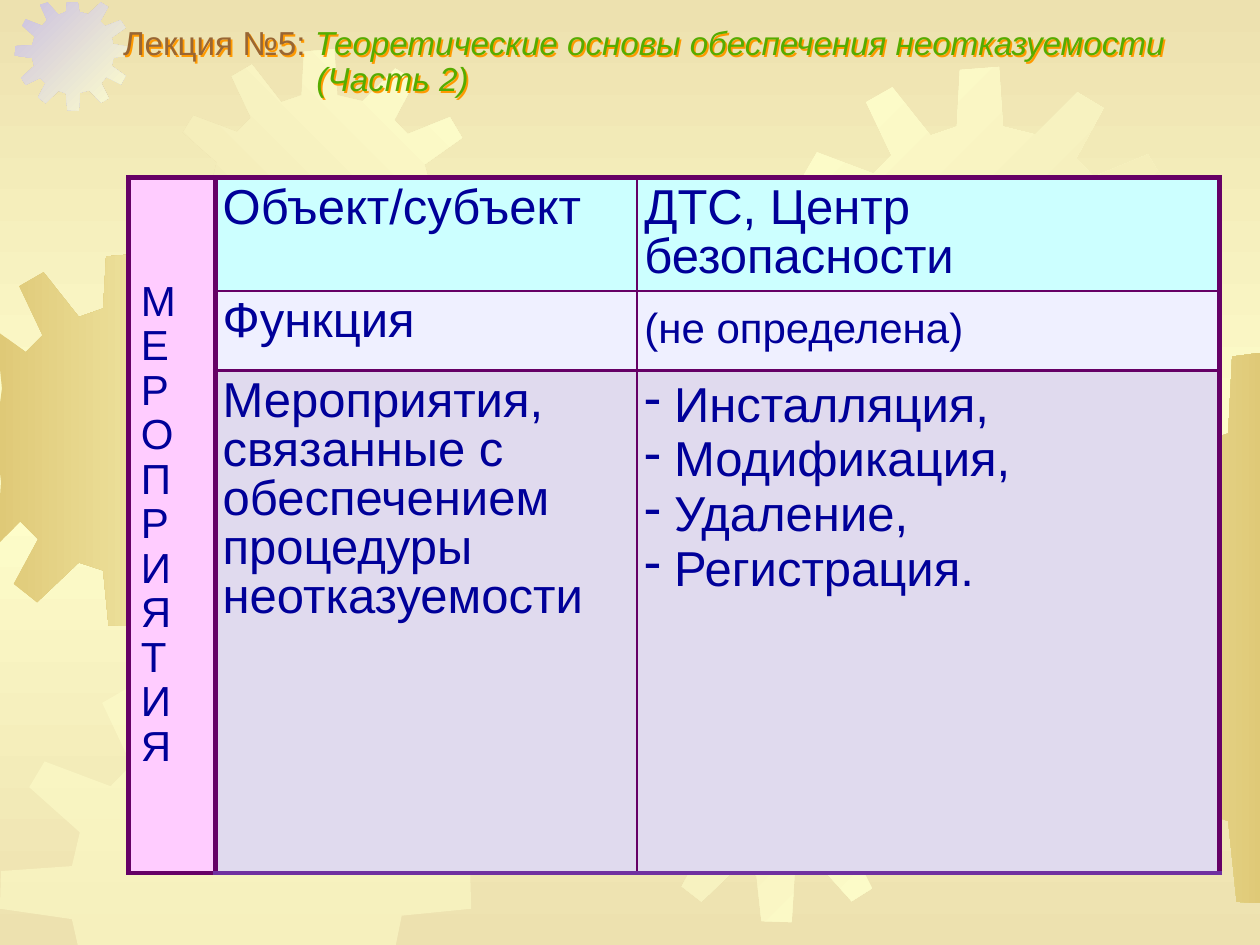
"""Build the lecture slide: a table of measures over a background of gears."""
from copy import deepcopy

from lxml import etree
from pptx import Presentation
from pptx import util as u
from pptx.dml.color import RGBColor
from pptx.enum import text
from pptx.oxml.ns import qn

SAND = RGBColor(0xED, 0xE1, 0xAF)
CREAM = RGBColor(0xFF, 0xFF, 0xCC)
GOLD = RGBColor(0xDF, 0xC9, 0x77)
LILAC = RGBColor(0xCA, 0xC0, 0xE2)
NAVY = RGBColor(0x00, 0x00, 0x99)
BROWN = RGBColor(0x99, 0x66, 0x33)
GREEN = RGBColor(0x56, 0xAC, 0x00)
ORANGE = RGBColor(0xFF, 0x99, 0x00)
PLUM = RGBColor(0x66, 0x00, 0x66)
VIOLET = RGBColor(0x70, 0x30, 0xA0)
PINK = RGBColor(0xFF, 0xCC, 0xFF)
ROW_FILLS = [RGBColor(0xCC, 0xFF, 0xFF), RGBColor(0xEF, 0xF0, 0xFF), RGBColor(0xE0, 0xDA, 0xEE)]

GEAR_SIDE = 401
GEAR_POINTS = [
    (255, 67), (223, 59), (219, 0), (180, 3), (177, 59), (151, 68), (113, 20), (87, 35),
    (112, 88), (94, 106), (38, 85), (25, 107), (68, 145), (61, 174), (1, 178), (0, 210),
    (61, 219), (67, 246), (22, 287), (38, 312), (88, 288), (107, 307), (81, 355), (106, 375),
    (151, 332), (177, 341), (183, 400), (222, 401), (226, 339), (259, 330), (299, 374), (325, 358),
    (299, 306), (316, 284), (368, 309), (384, 281), (336, 246), (342, 216), (401, 210), (400, 180),
    (341, 171), (335, 148), (383, 114), (367, 87), (313, 109), (296, 91), (323, 41), (297, 25),
]
GEARS = [
    (-1.24, 5.11, 7.52, GOLD, CREAM, 0),
    (0.3, -0.1, 2.33, LILAC, CREAM, 45),
    (3.3, 0.99, 6.3, SAND, CREAM, 315),
    (7.04, 3.53, 10.2, CREAM, SAND, 45),
    (0, 13.34, 9.5, CREAM, None, 0),
    (12.47, 12.29, 6.3, SAND, CREAM, 45),
    (15.7, 1.35, 8.13, CREAM, SAND, 45),
    (19.86, 7.11, 11.1, CREAM, GOLD, 0),
]
TITLE = [
    (0.37, [("Лекция №5: ", BROWN, False),
            ("Теоретические основы обеспечения неотказуемости", GREEN, True)]),
    (4.27, [("(Часть 2)", GREEN, True)]),
]
ROWS = [
    ("Объект/субъект", "ДТС, Центр безопасности"),
    ("Функция", "(не определена)"),
    ("Мероприятия, связанные с обеспечением процедуры неотказуемости",
     ["Инсталляция,", "Модификация,", "Удаление,", "Регистрация."]),
]


def clamp(value, low, high):
    return max(low, min(value, high))


class Slide:
    def __init__(self, page, font="Arial"):
        self.page = page
        self.font = font

    def background(self, colors):
        fill = self.page.background.fill
        fill.gradient()
        fill.gradient_angle = 90
        last = list(self.page.element.iter(qn("a:gs")))[-1]
        last.addnext(deepcopy(last))
        for index, (stop, color) in enumerate(zip(fill.gradient_stops, colors)):
            stop.position = index / (len(colors) - 1)
            stop.color.rgb = color

    def gear(self, left, top, side, start, end, angle):
        points = [(100 * clamp(left + x * side / GEAR_SIDE, -0.03, 25.43),
                   100 * clamp(top + y * side / GEAR_SIDE, 0.05, 19.15)) for x, y in GEAR_POINTS]
        builder = self.page.shapes.build_freeform(*points[0], scale=u.Cm(0.01))
        builder.add_line_segments(points[1:], close=True)
        shape = builder.convert_to_shape()
        shape.shadow.inherit = False
        shape.line.fill.background()
        if end is None:
            shape.fill.solid()
            shape.fill.fore_color.rgb = start
            color = next(shape.element.spPr.iter(qn("a:srgbClr")))
            etree.SubElement(color, qn("a:alpha"), val="50000")
            return
        shape.fill.gradient()
        shape.fill.gradient_angle = (360 - angle) % 360
        for stop, color in zip(shape.fill.gradient_stops, (start, end)):
            stop.color.rgb = color

    def paragraph(self, frame, first, size, spacing, indent=0, hanging=0, bullet=None):
        para = frame.paragraphs[0] if first else frame.add_paragraph()
        para.alignment = text.PP_ALIGN.LEFT
        para.line_spacing = spacing
        para.space_before = u.Pt(0)
        props = para._p.get_or_add_pPr()
        props.set("marL", str(u.Cm(indent)))
        props.set("indent", str(-u.Cm(hanging)))
        if bullet:
            etree.SubElement(props, qn("a:buChar"), char=bullet)
        para.font.name = self.font
        para.font.size = u.Pt(size)
        return para

    def title(self, lines, left, top, width, height):
        box = self.page.shapes.title
        box.left, box.top, box.width, box.height = map(u.Cm, (left, top, width, height))
        box.element.getparent().append(box.element)
        frame = box.text_frame
        frame.word_wrap = True
        frame.auto_size = text.MSO_AUTO_SIZE.SHAPE_TO_FIT_TEXT
        frame.vertical_anchor = text.MSO_ANCHOR.MIDDLE
        frame.margin_left = frame.margin_right = frame.margin_top = frame.margin_bottom = 0
        for index, (indent, spans) in enumerate(lines):
            para = self.paragraph(frame, index == 0, 19, 0.9, indent)
            for words, color, italic in spans:
                span = para.add_run()
                span.text = words
                span.font.color.rgb = color
                span.font.italic = italic
        effects = etree.SubElement(box.element.spPr, qn("a:effectLst"))
        shadow = etree.SubElement(effects, qn("a:outerShdw"), dist="18000", dir="2700000")
        etree.SubElement(shadow, qn("a:srgbClr"), val=str(ORANGE))

    def cell_text(self, cell, lines, size, spacing, **layout):
        for index, line in enumerate(lines):
            para = self.paragraph(cell.text_frame, index == 0, size, spacing, **layout)
            para.font.color.rgb = NAVY
            para.add_run().text = line

    def cell_frame(self, cell, color, margins, borders):
        cell.margin_left = cell.margin_right = u.Cm(margins[0])
        cell.margin_top = cell.margin_bottom = u.Cm(margins[1])
        cell.fill.solid()
        cell.fill.fore_color.rgb = color
        props = cell._tc.get_or_add_tcPr()
        for index, (side, weight, border) in enumerate(borders):
            line = etree.Element(qn(f"a:ln{side}"), w=str(u.Pt(weight)))
            fill = etree.SubElement(line, qn("a:solidFill"))
            etree.SubElement(fill, qn("a:srgbClr"), val=str(border))
            props.insert(index, line)

    def table(self, heading, rows, left, top, widths, heights):
        frame = self.page.shapes.add_table(len(heights), len(widths), u.Cm(left), u.Cm(top),
                                           u.Cm(sum(widths)), u.Cm(sum(heights)))
        table = frame.table
        table.first_row = table.horz_banding = False
        for column, width in zip(table.columns, widths):
            column.width = u.Cm(width)
        for row, height in zip(table.rows, heights):
            row.height = u.Cm(height)
        last = len(rows) - 1
        for r, content in enumerate(rows):
            sides = [("L", 3, PLUM), ("R", 3, PLUM)]
            if r == 0:
                sides.append(("T", 3, PLUM))
            if r in (0, last):
                sides.append(("B", 3, PLUM))
            self.cell_frame(table.cell(r, 0), PINK, (0.25, 0.13), sides)
            for c, value in enumerate(content, 1):
                cell = table.cell(r, c)
                self.cell_frame(cell, ROW_FILLS[r], (0.15, 0.15), [
                    ("L", 3 if c == 1 else 1.5, PLUM),
                    ("R", 1.5 if c == 1 else 3, PLUM),
                    ("T", 3 if r == 0 else 1.5, PLUM),
                    ("B", 3 if r == last else 1.5, VIOLET if r == last else PLUM)])
                if isinstance(value, list):
                    self.cell_text(cell, value, 28, 1.0, indent=0.6, hanging=0.6, bullet="-")
                else:
                    self.cell_text(cell, [value], 24 if value.startswith("(") else 28, 0.9)
        table.cell(1, 2).vertical_anchor = text.MSO_ANCHOR.MIDDLE
        table.cell(0, 0).merge(table.cell(last, 0))
        table.cell(0, 0).vertical_anchor = text.MSO_ANCHOR.MIDDLE
        self.cell_text(table.cell(0, 0), heading, 24, 0.95)


def main():
    deck = Presentation()
    deck.slide_width, deck.slide_height = u.Cm(25.4), u.Cm(19.05)
    slide = Slide(deck.slides.add_slide(deck.slide_layouts[5]))
    slide.background([SAND, CREAM, SAND])
    for gear in GEARS:
        slide.gear(*gear)
    slide.table("МЕРОПРИЯТИЯ", ROWS, 2.59, 3.58, [1.75, 8.5, 11.75], [2.29, 1.6, 8.08])
    slide.title(TITLE, 2.11, 0.53, 23.29, 1.47)
    deck.save("out.pptx")


if __name__ == "__main__":
    main()
